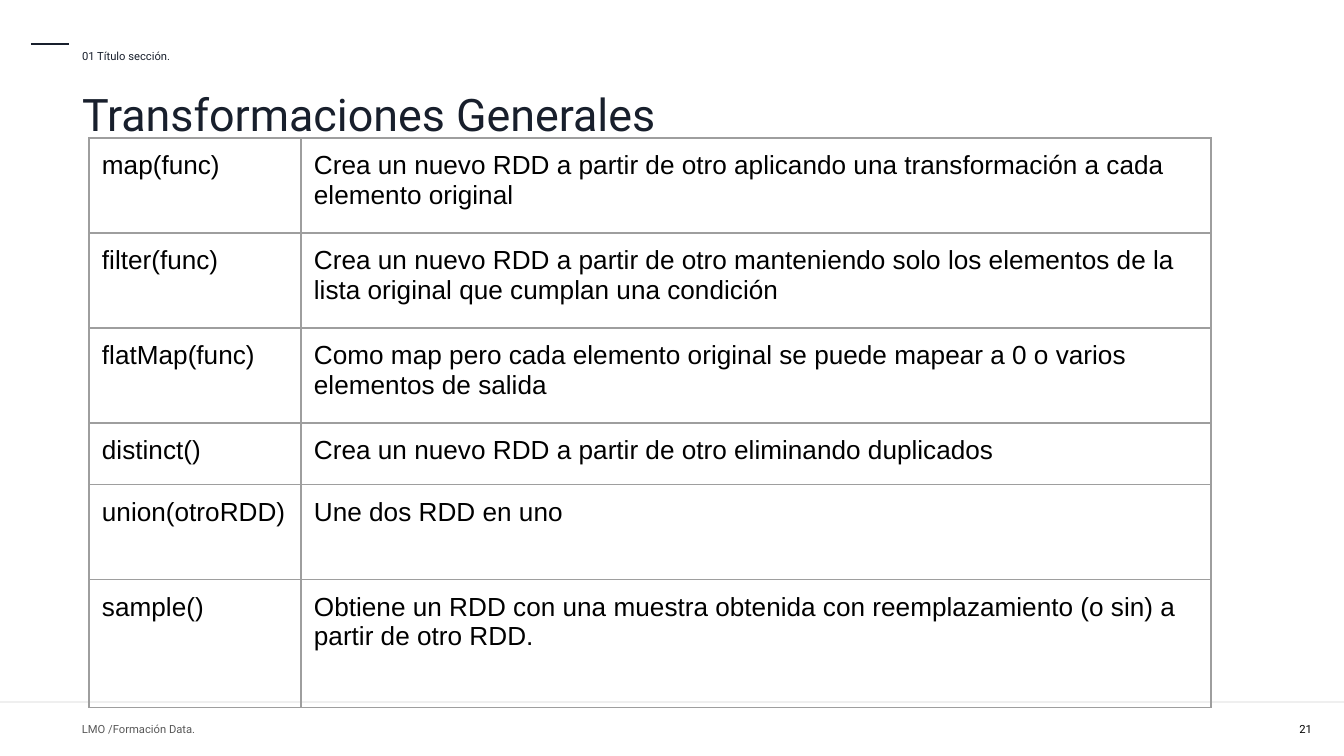
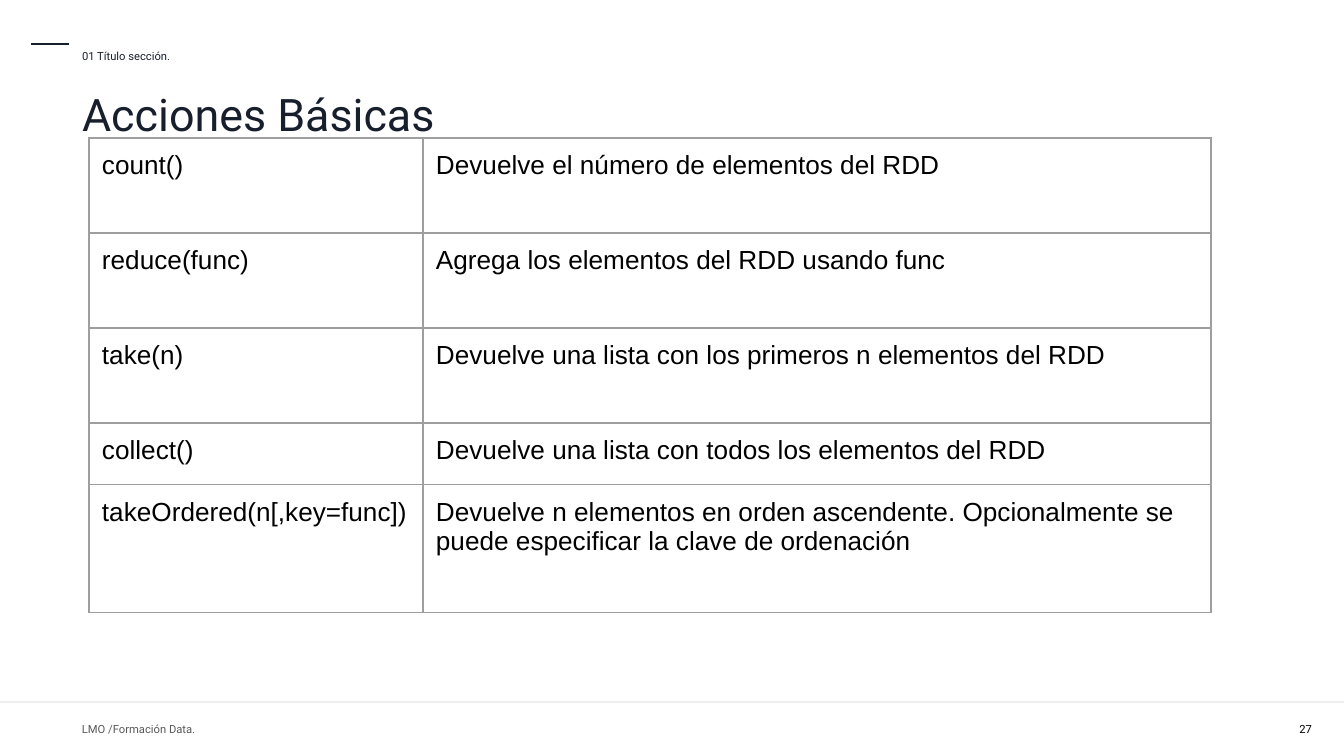
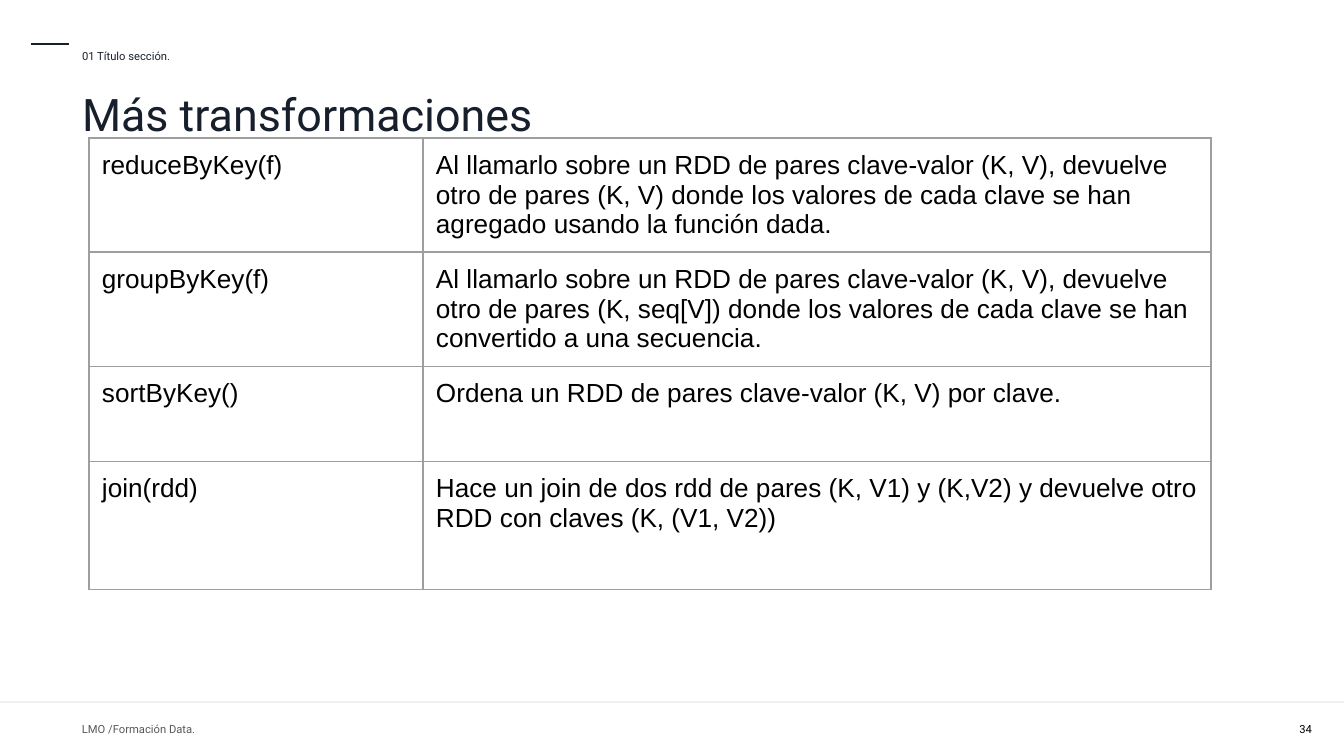
"""Build three slides of RDD operation tables that share one frame."""
import dataclasses

import lxml.etree
import pptx
import pptx.dml.color
import pptx.enum.shapes
import pptx.enum.text
import pptx.oxml.ns
import pptx.util

SECTION = "01 Título sección."
FOOTER = "LMO /Formación Data."

SLIDES = [
    {
        "title": "Transformaciones Generales",
        "title_height": 85,
        "number": "21",
        "columns": (212, 910),
        "rows": [
            ("map(func)", "Crea un nuevo RDD a partir de otro aplicando una transformación a cada elemento original", 95),
            ("filter(func)", "Crea un nuevo RDD a partir de otro manteniendo solo los elementos de la lista original que cumplan una condición", 95),
            ("flatMap(func)", "Como map pero cada elemento original se puede mapear a 0 o varios elementos de salida", 95),
            ("distinct()", "Crea un nuevo RDD a partir de otro eliminando duplicados", 62),
            ("union(otroRDD)", "Une dos RDD en uno", 95),
            ("sample()", "Obtiene un RDD con una muestra obtenida con reemplazamiento (o sin) a partir de otro RDD.", 128),
        ],
    },
    {
        "title": "Acciones Básicas",
        "title_height": 85,
        "number": "27",
        "columns": (334, 788),
        "rows": [
            ("count()", "Devuelve el número de elementos del RDD", 95),
            ("reduce(func)", "Agrega los elementos del RDD usando func", 95),
            ("take(n)", "Devuelve una lista con los primeros n elementos del RDD", 95),
            ("collect()", "Devuelve una lista con todos los elementos del RDD", 62),
            ("takeOrdered(n[,key=func])", "Devuelve n elementos en orden ascendente. Opcionalmente se puede especificar la clave de ordenación", 128),
        ],
    },
    {
        "title": "Más transformaciones",
        "title_height": 51,
        "number": "34",
        "columns": (334, 788),
        "rows": [
            ("reduceByKey(f)", "Al llamarlo sobre un RDD de pares clave-valor (K, V), devuelve otro de pares (K, V) donde los valores de cada clave se han agregado usando la función dada.", 95),
            ("groupByKey(f)", "Al llamarlo sobre un RDD de pares clave-valor (K, V), devuelve otro de pares (K, seq[V]) donde los valores de cada clave se han convertido a una secuencia.", 95),
            ("sortByKey()", "Ordena un RDD de pares clave-valor (K, V) por clave.", 95),
            ("join(rdd)", "Hace un join de dos rdd de pares (K, V1) y (K,V2) y devuelve otro RDD con claves (K, (V1, V2))", 128),
        ],
    },
]


@dataclasses.dataclass(frozen=True)
class Theme:
    heading_font: str = "Roboto"
    table_font: str = "Arial"
    ink: str = "181F2C"
    black: str = "000000"
    grey: str = "585858"
    rule: str = "EFEFEF"
    border: str = "9E9E9E"
    title_size: int = 24
    table_size: int = 14
    small_size: int = 6
    line_width: float = 0.75
    padding: int = 13
    table_frame: int = 441


THEME = Theme()
PX = 914400 / 134.4
TOP = pptx.enum.text.MSO_ANCHOR.TOP
MIDDLE = pptx.enum.text.MSO_ANCHOR.MIDDLE
LEFT = pptx.enum.text.PP_ALIGN.LEFT
RIGHT = pptx.enum.text.PP_ALIGN.RIGHT


def px(length):
    return pptx.util.Emu(round(length * PX))


def rgb(color):
    return pptx.dml.color.RGBColor.from_string(color)


def write(target, text, *, size, color=THEME.ink, font=THEME.heading_font,
          padding=0, anchor=TOP, align=LEFT, spacing=1.0):
    target.margin_left = target.margin_right = px(padding)
    target.margin_top = target.margin_bottom = px(padding)
    target.vertical_anchor = anchor
    para = target.text_frame.paragraphs[0]
    para.alignment = align
    para.line_spacing = spacing
    span = para.add_run()
    span.text = text
    span.font.size = pptx.util.Pt(size)
    span.font.name = font
    span.font.color.rgb = rgb(color)


def write_box(box, text, *, padding=0, anchor=TOP, **style):
    frame = box.text_frame
    frame.word_wrap = True
    frame.auto_size = pptx.enum.text.MSO_AUTO_SIZE.NONE
    frame.text_frame = frame
    write(frame, text, padding=padding, anchor=anchor, **style)


def add_text(page, text, left, top, width, height, **style):
    box = page.shapes.add_textbox(px(left), px(top), px(width), px(height))
    write_box(box, text, **style)


def add_rule(page, left, right, top, color):
    rule = page.shapes.add_connector(
        pptx.enum.shapes.MSO_CONNECTOR.STRAIGHT, px(left), px(top), px(right), px(top))
    rule.line.color.rgb = rgb(color)
    rule.line.width = pptx.util.Pt(THEME.line_width)
    properties = rule._element.spPr
    lxml.etree.SubElement(properties, pptx.oxml.ns.qn("a:effectLst"))


def set_borders(cell):
    properties = cell._tc.get_or_add_tcPr()
    for position, side in enumerate(("lnL", "lnR", "lnT", "lnB")):
        line = lxml.etree.Element(pptx.oxml.ns.qn(f"a:{side}"))
        line.set("w", str(pptx.util.Pt(THEME.line_width)))
        fill = lxml.etree.SubElement(line, pptx.oxml.ns.qn("a:solidFill"))
        lxml.etree.SubElement(fill, pptx.oxml.ns.qn("a:srgbClr")).set("val", THEME.border)
        properties.insert(position, line)


def add_operations(page, columns, rows):
    shape = page.shapes.add_table(
        len(rows), len(columns), px(89), px(138), px(sum(columns)), px(THEME.table_frame))
    table = shape.table
    table.first_row = table.horz_banding = False
    for column, width in zip(table.columns, columns):
        column.width = px(width)
    for row, (name, description, height) in zip(table.rows, rows):
        row.height = px(height)
        for cell, text in zip(row.cells, (name, description)):
            write(cell, text, size=THEME.table_size, color=THEME.black,
                  font=THEME.table_font, padding=THEME.padding)
            cell.fill.background()
            set_borders(cell)
    shape.width = shape.height = px(THEME.table_frame)


def add_frame(page, number):
    footer_style = {"size": THEME.small_size, "padding": THEME.padding, "anchor": MIDDLE}
    add_text(page, number, 1245, 702, 80, 55, color=THEME.black, align=RIGHT, **footer_style)
    add_rule(page, 0, 1344, 702, THEME.rule)
    add_text(page, FOOTER, 69, 702, 271, 55, color=THEME.grey, **footer_style)
    add_rule(page, 31, 69, 44, THEME.ink)
    add_text(page, SECTION, 82, 36, 106, 23, size=THEME.small_size, spacing=2.0)


def add_title(page, text, height):
    title = page.shapes.title
    title.left, title.top, title.width, title.height = map(px, (82, 87, 753, height))
    write_box(title, text, size=THEME.title_size)


def main():
    deck = pptx.Presentation()
    deck.slide_width, deck.slide_height = px(1344), px(756)
    layout = deck.slide_layouts.get_by_name("Title Only")
    for content in SLIDES:
        page = deck.slides.add_slide(layout)
        add_frame(page, content["number"])
        add_title(page, content["title"], content["title_height"])
        add_operations(page, content["columns"], content["rows"])
    deck.save("out.pptx")


if __name__ == "__main__":
    main()
